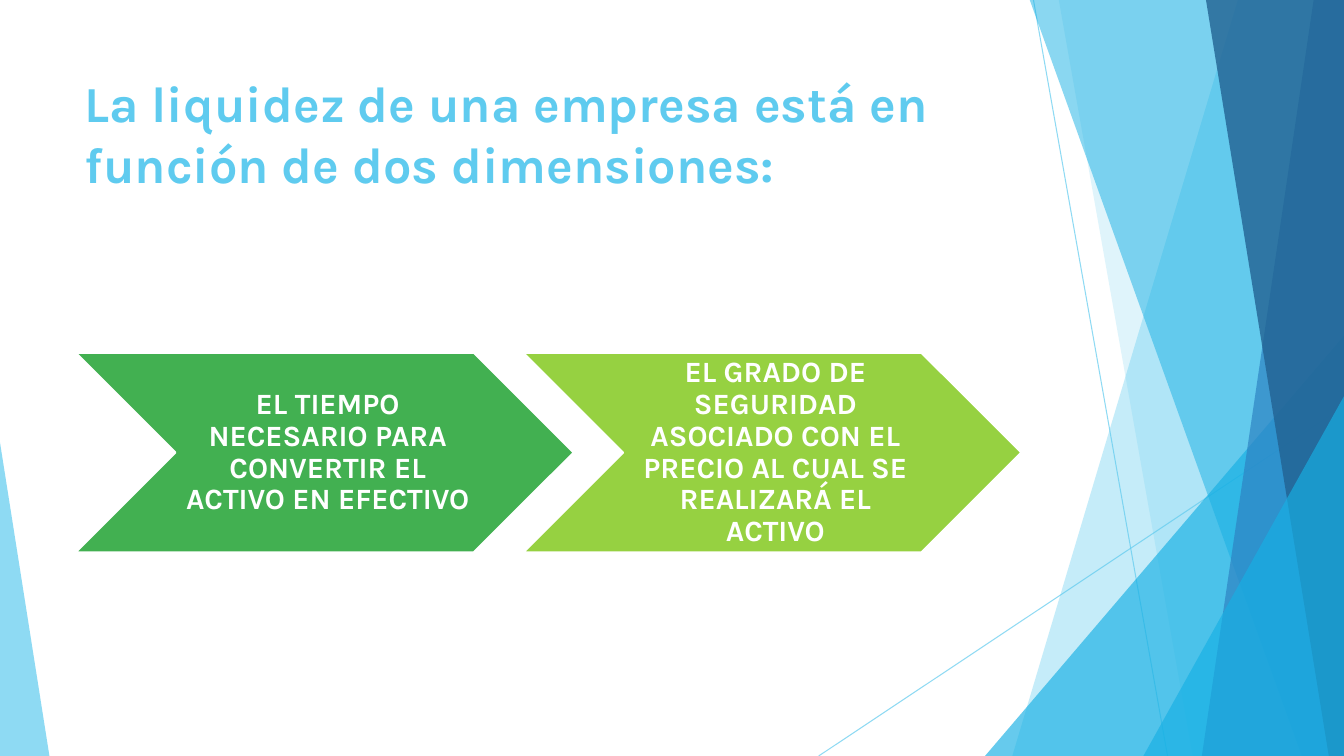
from lxml import etree
from pptx import Presentation
from pptx.dml.color import RGBColor
from pptx.enum import shapes as es, text as et
from pptx.oxml import ns
from pptx.util import Inches, Pt

SKY = RGBColor(0x5F, 0xCB, 0xEF)
CYAN = RGBColor(0x17, 0xB0, 0xE4)
BLUE = RGBColor(0x2E, 0x83, 0xC3)
NAVY = RGBColor(0x22, 0x62, 0x92)
GREEN = RGBColor(0x42, 0xB0, 0x51)
LIME = RGBColor(0x96, 0xD1, 0x41)
WHITE = RGBColor(0xFF, 0xFF, 0xFF)
WIDE, HIGH, TOP = 13.33, 7.5, -0.01


def fade(shape, alpha):
    for color in shape._element.spPr.iter(ns.qn("a:srgbClr")):
        etree.SubElement(color, ns.qn("a:alpha"), val=str(alpha * 1000))


def write(shape, words, frame, font, para):
    body = shape.text_frame
    body.text = words
    line = body.paragraphs[0]
    for target, values in ((body, frame), (line, para), (line.runs[0].font, font)):
        for key, value in values.items():
            setattr(target, key, value)


deck = Presentation()
deck.slide_width, deck.slide_height = Inches(WIDE), Inches(HIGH)
slide = deck.slides.add_slide(deck.slide_layouts[6])
items = slide.shapes

for ends in ((10.25, 0, 11.58, HIGH), (WIDE, 4.03, 8.12, HIGH)):
    ray = items.add_connector(es.MSO_CONNECTOR.STRAIGHT, *map(Inches, ends))
    ray.line.color.rgb = SKY
    ray.line.width = Pt(0.75)
    fade(ray, 70)
    etree.SubElement(ray._element.spPr, ns.qn("a:effectLst"))

facets = (
    ("band", (12.28, 10.04), SKY, 36),
    ("band", (10.5, 11.83), SKY, 20),
    ("wedge", (9.77, 3.33, 3.56, 1), CYAN, 66),
    ("band", (10.21, 12.91), CYAN, 50),
    ("band", (13.03, 11.92), BLUE, 70),
    ("band", (11.96, 13.18), NAVY, 80),
    ("wedge", (11.34, 3.93, 1.99, 1), CYAN, 66),
    ("wedge", (0, 4.39, 0.49, 0), SKY, 70),
)
for kind, place, color, alpha in facets:
    if kind == "band":
        upper, lower = place
        pen = items.build_freeform(Inches(upper), Inches(TOP))
        corners = ((WIDE, TOP), (WIDE, HIGH), (lower, HIGH))
        pen.add_line_segments([(Inches(x), Inches(y)) for x, y in corners])
        facet = pen.convert_to_shape()
    else:
        left, top, width, peak = place
        facet = items.add_shape(es.MSO_SHAPE.ISOSCELES_TRIANGLE, Inches(left),
                                Inches(top), Inches(width), Inches(HIGH - top))
        facet.adjustments[0] = peak
    facet.shadow.inherit = False
    facet.fill.solid()
    facet.fill.fore_color.rgb = color
    facet.line.fill.background()
    fade(facet, alpha)

title = items.add_textbox(Inches(0.74), Inches(0.67), Inches(9.4), Inches(1.44))
write(title, "La liquidez de una empresa está en función de dos dimensiones:",
      {"word_wrap": True, "vertical_anchor": et.MSO_ANCHOR.TOP},
      {"name": "Karla", "size": Pt(36), "bold": True}, {"alignment": et.PP_ALIGN.LEFT})
title.text_frame.paragraphs[0].runs[0].font.color.rgb = SKY

FRAME = {"word_wrap": True, "vertical_anchor": et.MSO_ANCHOR.MIDDLE,
         "margin_left": Inches(0.09), "margin_right": Inches(0.03),
         "margin_top": Inches(0.03), "margin_bottom": Inches(0.03)}
FONT = {"name": "Karla", "size": Pt(21), "bold": True}
PARA = {"alignment": et.PP_ALIGN.CENTER, "line_spacing": 0.9}
steps = (
    ("EL TIEMPO NECESARIO PARA CONVERTIR EL ACTIVO EN EFECTIVO", GREEN),
    ("EL GRADO DE SEGURIDAD ASOCIADO CON EL PRECIO AL CUAL SE REALIZARÁ EL ACTIVO", LIME),
)
for index, (words, color) in enumerate(steps):
    step = items.add_shape(es.MSO_SHAPE.CHEVRON, Inches(0.75 + 4.44 * index),
                           Inches(3.5), Inches(4.94), Inches(1.98))
    step.shadow.inherit = False
    step.fill.solid()
    step.fill.fore_color.rgb = color
    step.line.color.rgb = WHITE
    step.line.width = Pt(1.5)
    write(step, words, FRAME, FONT, PARA)
    step.text_frame.paragraphs[0].runs[0].font.color.rgb = WHITE

deck.save("out.pptx")
